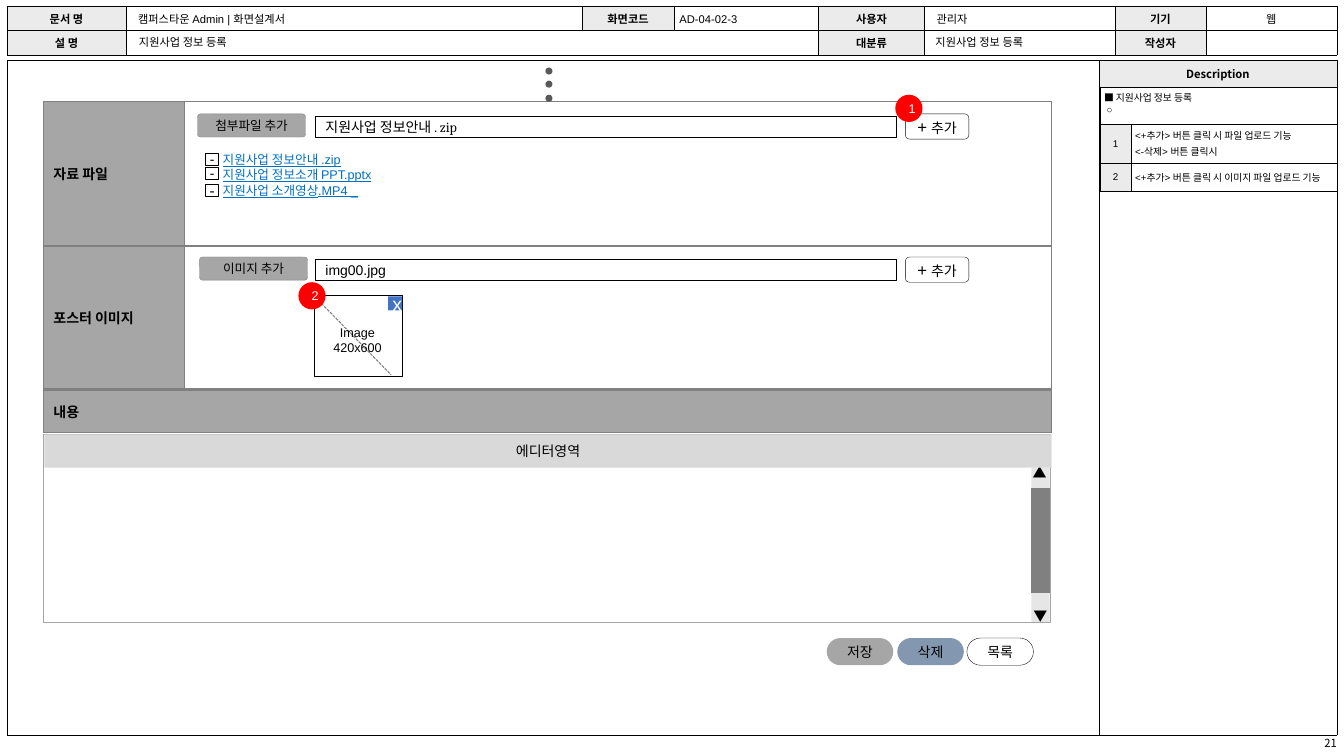
from lxml.etree import SubElement
from pptx import Presentation
from pptx.dml.color import RGBColor
from pptx.enum.dml import MSO_LINE
from pptx.enum.shapes import MSO_CONNECTOR, MSO_SHAPE
from pptx.enum.text import MSO_ANCHOR, PP_ALIGN
from pptx.oxml.ns import qn
from pptx.table import _Cell
from pptx.util import Pt

PX = 9144  # 100 px to the inch
COLORS = {
    "black": "000000", "white": "FFFFFF", "label": "EBEBEB", "gray": "A6A6A6",
    "edge": "808080", "dot": "595959", "light": "D9D9D9", "link": "0070C0",
    "close": "4472C4", "marker": "FF0000", "delete": "8497B0",
}
RGB = {name: RGBColor.from_string(value) for name, value in COLORS.items()}
NOTO = "Noto Sans CJK KR"
LEFT, CENTER, RIGHT = PP_ALIGN.LEFT, PP_ALIGN.CENTER, PP_ALIGN.RIGHT
TOP, MIDDLE = MSO_ANCHOR.TOP, MSO_ANCHOR.MIDDLE
RECT, ROUND, OVAL = MSO_SHAPE.RECTANGLE, MSO_SHAPE.ROUNDED_RECTANGLE, MSO_SHAPE.OVAL


def write(box, text, size=8, font="Arial", color="black", bold=False, underline=False,
          align=LEFT, anchor=MIDDLE, insets=(10, 5, 10, 5), before=0, wrap=True):
    frame = box.text_frame
    holder = box if isinstance(box, _Cell) else frame
    if holder is frame:
        frame.word_wrap = wrap
    holder.vertical_anchor = anchor
    holder.margin_left, holder.margin_top, holder.margin_right, holder.margin_bottom = (
        inset * PX for inset in insets)
    for number, line in enumerate(text.split("\n")):
        para = frame.add_paragraph() if number else frame.paragraphs[0]
        para.alignment = align
        para.space_before = Pt(before)
        if not line:
            SubElement(para._p, qn("a:endParaRPr"), sz=str(size * 100))
            continue
        # The plus sign of the add buttons is larger than its label
        parts = [("+", 12), (line[1:], size)] if line.startswith("+") else [(line, size)]
        for words, points in parts:
            span = para.add_run()
            span.text = words
            span.font.size = Pt(points)
            span.font.name = font
            span.font.bold = bold
            span.font.underline = underline
            span.font.color.rgb = RGB[color]
            SubElement(span.font._element, qn("a:ea"), typeface=NOTO)


def add_part(kind, x, y, width, height, fill=None, line=None, weight=0.25, radius=None):
    place = [value * PX for value in (x, y, width, height)]
    if kind is None:
        return page.shapes.add_textbox(*place)
    part = page.shapes.add_shape(kind, *place)
    part.shadow.inherit = False
    if radius is not None:
        part.adjustments[0] = radius
    if fill:
        part.fill.solid()
        part.fill.fore_color.rgb = RGB[fill]
    else:
        part.fill.background()
    if line:
        part.line.color.rgb = RGB[line]
        part.line.width = Pt(weight)
    else:
        part.line.fill.background()
    return part


deck = Presentation()
deck.slide_width, deck.slide_height = 1333 * PX, 750 * PX
page = deck.slides.add_slide(deck.slide_layouts[6])

# Tables: place, column widths, row heights, border, merges, cells
label = dict(font=NOTO, bold=True, align=CENTER, insets=(4, 4, 4, 4))
value = dict(insets=(12, 1, 1, 1))
number = dict(size=7, align=CENTER, insets=(1, 1, 1, 1))
note = dict(size=7, insets=(4, 1, 4, 1), before=1.4)
heading = dict(size=10, font="Cambria", bold=True)
tables = [
    (7, 6, [118, 452, 92, 143, 105, 189, 90, 130], [24, 24], ("black", 0.25),
     [(1, 1, 1, 3)], {
         (0, 0): ("문서 명", "label", label),
         (0, 1): ("캠퍼스타운 Admin | 화면설계서", "white", value),
         (0, 2): ("화면코드", "label", label),
         (0, 4): ("사용자", "label", label),
         (0, 5): ("관리자", "white", value),
         (0, 6): ("기기", "label", label),
         (0, 7): ("웹", "white", dict(align=CENTER, insets=(1, 1, 1, 1))),
         (1, 0): ("설 명", "label", label),
         (1, 4): ("대분류", "label", label),
         (1, 6): ("작성자", "label", label)}),
    (7, 60, [1083, 236], [26, 643], ("black", 0.25), [(0, 0, 1, 0)],
     {(0, 1): ("Description", "label", label)}),
    (1091, 86, [31, 204], [37, 39, 28], ("black", 0.25), [(0, 0, 0, 1)], {
        (0, 0): ("■ 지원사업 정보 등록\n ○", "white",
                 dict(size=7, anchor=TOP, insets=(4, 4, 1, 1))),
        (1, 0): ("1", "label", number),
        (1, 1): ("<+추가> 버튼 클릭 시 파일 업로드 기능\n<-삭제> 버튼 클릭시", "white", note),
        (2, 0): ("2", "label", number),
        (2, 1): ("<+추가> 버튼 클릭 시 이미지 파일 업로드 기능", "white", note)}),
    (43, 101, [140, 860], [143, 142], ("edge", 1), [], {
        (0, 0): ("자료 파일", "gray", heading),
        (1, 0): ("포스터 이미지", "gray", heading)}),
    (43, 387, [1000], [42], ("edge", 1), [], {(0, 0): ("내용", "gray", heading)}),
]
for x, y, widths, heights, (edge, weight), merges, cells in tables:
    grid = page.shapes.add_table(len(heights), len(widths), x * PX, y * PX,
                                 sum(widths) * PX, sum(heights) * PX).table
    grid.first_row = grid.horz_banding = False
    for column, width in zip(grid.columns, widths):
        column.width = width * PX
    for row, height in zip(grid.rows, heights):
        row.height = height * PX
    for r in range(len(heights)):
        for c in range(len(widths)):
            cell = grid.cell(r, c)
            text, fill, style = cells.get((r, c), ("", "white", {}))
            write(cell, text, **style)
            props = cell._tc.get_or_add_tcPr()
            for side in ("a:lnL", "a:lnR", "a:lnT", "a:lnB"):
                border = SubElement(props, qn(side), w=str(Pt(weight)))
                paint = SubElement(border, qn("a:solidFill"))
                SubElement(paint, qn("a:srgbClr"), val=COLORS[edge])
            cell.fill.solid()
            cell.fill.fore_color.rgb = RGB[fill]
    for top, left, bottom, right in merges:
        grid.cell(top, left).merge(grid.cell(bottom, right))

# Header texts and page number
for x in (918, 128):
    write(add_part(None, x, 30, 118, 24), "지원사업 정보 등록", anchor=TOP, wrap=False)
write(add_part(None, 664, 7, 143, 23), "AD-04-02-3", anchor=TOP)
write(add_part(None, 1090, 726, 236, 24), "21", font=NOTO, align=RIGHT, anchor=TOP,
      insets=(10, 5, 0, 5))

# Dots for the content above
for y in (67, 80, 94):
    add_part(OVAL, 541, y, 7, 7, "dot")

# Upload rows: button, file name field, add button
for x, y, caption, file_name, font in (
        (196, 113, "첨부파일 추가", "지원사업 정보안내 . zip", "Cambria"),
        (198, 255, "이미지 추가", "img00.jpg", "Arial")):
    write(add_part(ROUND, x, y, 107, 23, "gray", "edge", radius=0.13), caption,
          size=9, align=CENTER)
    write(add_part(RECT, 313, y + 2, 576, 21, None, "black"), file_name, size=10, font=font)
    write(add_part(ROUND, 898, y, 63, 25, None, "black"), "+ 추가", size=10,
          align=CENTER, insets=(4, 4, 4, 4))

# Attached files with remove boxes
write(add_part(None, 211, 146, 181, 56),
      "지원사업 정보안내 .zip\n지원사업 정보소개 PPT.pptx\n지원사업 소개영상.MP4 _",
      size=9, color="link", underline=True, anchor=TOP)
for y, size in ((152, 10), (166, 10), (183, 11)):
    write(add_part(RECT, 204, y, 13, 12, None, "black", 0.75), "-", size=size, align=CENTER)

# Scroll track and image frame, then the lines on them
track = add_part(MSO_SHAPE.FLOWCHART_PROCESS, 1023, 464, 18, 154, "light")
track_color = track.fill._xPr.find(qn("a:solidFill"))[0]
SubElement(track_color, qn("a:alpha"), val="65000")
add_part(RECT, 312, 293, 87, 80, None, "black")
for x1, y1, x2, y2, weight, dash in ((313, 295, 388, 372, 0.75, MSO_LINE.SQUARE_DOT),
                                     (1032, 484, 1032, 588, 13.25, None)):
    stroke = page.shapes.add_connector(MSO_CONNECTOR.STRAIGHT, x1 * PX, y1 * PX,
                                       x2 * PX, y2 * PX)
    stroke.line.color.rgb = RGB["edge"]
    stroke.line.width = Pt(weight)
    stroke.line.dash_style = dash
    SubElement(stroke._element.spPr, qn("a:effectLst"))

# Image preview
write(add_part(None, 320, 317, 69, 40), "Image\n420x600", size=9, align=CENTER, anchor=TOP)
write(add_part(RECT, 385, 294, 14, 14, "close"), "x", size=14, color="white", align=CENTER)

# Numbered markers
for mark, x, y in (("1", 888, 94), ("2", 296, 280)):
    write(add_part(OVAL, x, y, 27, 27, "marker"), mark, size=9, color="white", align=CENTER)

# Editor area
for x, y, turn in ((1017, 607, 0), (1018, 465, 180)):
    arrow = add_part(None, x, y, 28, 8)
    arrow.rotation = turn
    write(arrow, "▼", size=10, font=NOTO, insets=(8, 0, 8, 0))
add_part(RECT, 43, 431, 999, 187, None, "gray", 0.75)
write(add_part(RECT, 44, 431, 999, 33, "light"), "에디터영역", size=10, font="Cambria",
      align=CENTER)

# Bottom buttons
for x, caption, fill, line in ((820, "저장", "gray", None), (890, "삭제", "delete", None),
                               (959, "목록", "white", "black")):
    write(add_part(ROUND, x, 633, 66, 27, fill, line, radius=0.5), caption, size=10,
          align=CENTER, insets=(4, 4, 4, 4))

deck.save("out.pptx")
